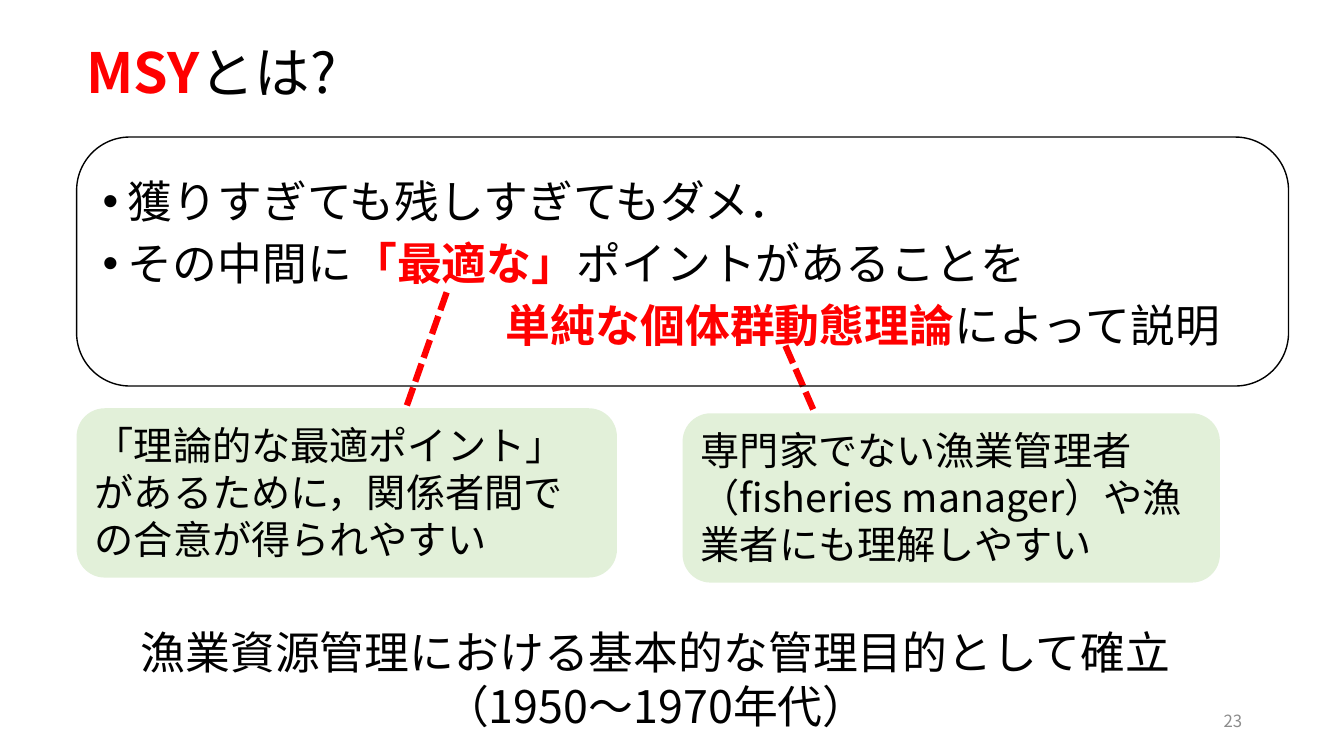
from dataclasses import dataclass

from lxml.etree import SubElement
from pptx import Presentation
from pptx.dml.color import RGBColor
from pptx.enum.dml import MSO_LINE
from pptx.enum.shapes import MSO_CONNECTOR, MSO_SHAPE
from pptx.enum.text import MSO_ANCHOR as ANCHOR, PP_ALIGN as ALIGN
from pptx.oxml.ns import qn
from pptx.util import Pt

PX = 9144


@dataclass(frozen=True)
class Theme:
    """Colours and type sizes of the slide."""
    font: str = "Noto Sans CJK JP"
    ink: str = "000000"
    accent: str = "FF0000"
    callout: str = "E2F0D9"
    muted: str = "8C8C8C"
    title: float = 39.6
    body: float = 32
    note: float = 28
    number: float = 12


THEME = Theme()


def color(code):
    """Turn a hex code into a colour."""
    return RGBColor.from_string(code)


def px(*lengths):
    """Turn px lengths into EMU."""
    return [length * PX for length in lengths]


def style(paragraph, size, ink=THEME.ink):
    """Set the font of a whole paragraph, Latin and East Asian."""
    font = paragraph.font
    font.size, font.name = Pt(size), THEME.font
    font.color.rgb = color(ink)
    defaults = paragraph._p.pPr.find(qn("a:defRPr"))
    SubElement(defaults, qn("a:ea"), typeface=THEME.font)


def write(paragraph, parts):
    """Add runs; parts marked True are bold and in the accent colour."""
    for words, stressed in parts:
        run = paragraph.add_run()
        run.text = words
        if stressed:
            run.font.bold = True
            run.font.color.rgb = color(THEME.accent)


def add_frame(slide, box, anchor=ANCHOR.TOP):
    """Add a wrapping text box and return its frame."""
    frame = slide.shapes.add_textbox(*px(*box)).text_frame
    frame.word_wrap = True
    frame.vertical_anchor = anchor
    return frame


def add_line(slide, box, words, size, align, ink=THEME.ink, anchor=ANCHOR.TOP):
    """Add a box with one plain paragraph."""
    paragraph = add_frame(slide, box, anchor).paragraphs[0]
    paragraph.alignment = align
    style(paragraph, size, ink)
    write(paragraph, [(words, False)])


def add_title(slide, box):
    """Add the heading."""
    heading = add_frame(slide, box, ANCHOR.MIDDLE).paragraphs[0]
    heading.line_spacing = 0.9
    style(heading, THEME.title)
    write(heading, [("MSY", True), ("とは?", False)])


def add_points(slide, box):
    """Add the two bullets and the indented continuation line."""
    points = [
        (25, True, [("獲りすぎても残しすぎてもダメ．", False)]),
        (25, True, [("その中間に", False), ("「最適な」", True),
                    ("ポイントがあることを", False)]),
        (400, False, [("単純な個体群動態理論", True), ("によって説明", False)]),
    ]
    frame = add_frame(slide, box)
    for index, (margin, bulleted, parts) in enumerate(points):
        point = frame.add_paragraph() if index else frame.paragraphs[0]
        point.line_spacing = 0.9
        if index:
            point.space_before = Pt(10)
        layout = point._p.get_or_add_pPr()
        layout.set("marL", str(margin * PX))
        if bulleted:
            layout.set("indent", str(-margin * PX))
            SubElement(layout, qn("a:buFont"), typeface="Arial")
            SubElement(layout, qn("a:buChar"), char="•")
        style(point, THEME.body)
        write(point, parts)


def add_rounded(slide, box):
    """Add a rounded rectangle without shadow."""
    panel = slide.shapes.add_shape(MSO_SHAPE.ROUNDED_RECTANGLE, *px(*box))
    panel.shadow.inherit = False
    return panel


def add_border(slide, box):
    """Outline the points with a rounded border."""
    border = add_rounded(slide, box)
    border.adjustments[0] = 0.214
    border.fill.background()
    border.line.color.rgb = color(THEME.ink)
    border.line.width = Pt(1)


def add_callout(slide, box, words):
    """Add a green explanatory panel."""
    callout = add_rounded(slide, box)
    callout.fill.solid()
    callout.fill.fore_color.rgb = color(THEME.callout)
    callout.line.fill.background()
    frame = callout.text_frame
    frame.word_wrap = True
    frame.vertical_anchor = ANCHOR.TOP
    note = frame.paragraphs[0]
    note.alignment = ALIGN.LEFT
    style(note, THEME.note)
    write(note, [(words, False)])


def add_leader(slide, ends):
    """Add a dashed line from a phrase to its callout."""
    leader = slide.shapes.add_connector(MSO_CONNECTOR.STRAIGHT, *px(*ends))
    leader.line.color.rgb = color(THEME.accent)
    leader.line.width = Pt(4.5)
    leader.line.dash_style = MSO_LINE.SQUARE_DOT
    SubElement(leader._element.spPr, qn("a:effectLst"))


def build_msy_slide(slide):
    """Place all regions of the slide."""
    add_points(slide, (92, 173, 1150, 187))
    for ends in ((443, 290, 397, 421), (779, 343, 813, 421)):
        add_leader(slide, ends)
    add_line(slide, (76, 615, 1149, 118),
             "漁業資源管理における基本的な管理目的として確立（1950～1970年代）",
             THEME.body, ALIGN.CENTER)
    add_border(slide, (76, 136, 1202, 247))
    add_callout(slide, (76, 405, 536, 168),
                "「理論的な最適ポイント」があるために，関係者間での合意が得られやすい")
    add_callout(slide, (677, 410, 533, 168),
                "専門家でない漁業管理者（fisheries manager）や漁業者にも理解しやすい")
    add_line(slide, (942, 695, 300, 40), "23", THEME.number, ALIGN.RIGHT,
             THEME.muted, ANCHOR.MIDDLE)
    add_title(slide, (76, 40, 1166, 69))


def main():
    """Build and save the presentation."""
    deck = Presentation()
    deck.slide_width, deck.slide_height = px(1333, 750)
    build_msy_slide(deck.slides.add_slide(deck.slide_layouts[6]))
    deck.save("out.pptx")


if __name__ == "__main__":
    main()
